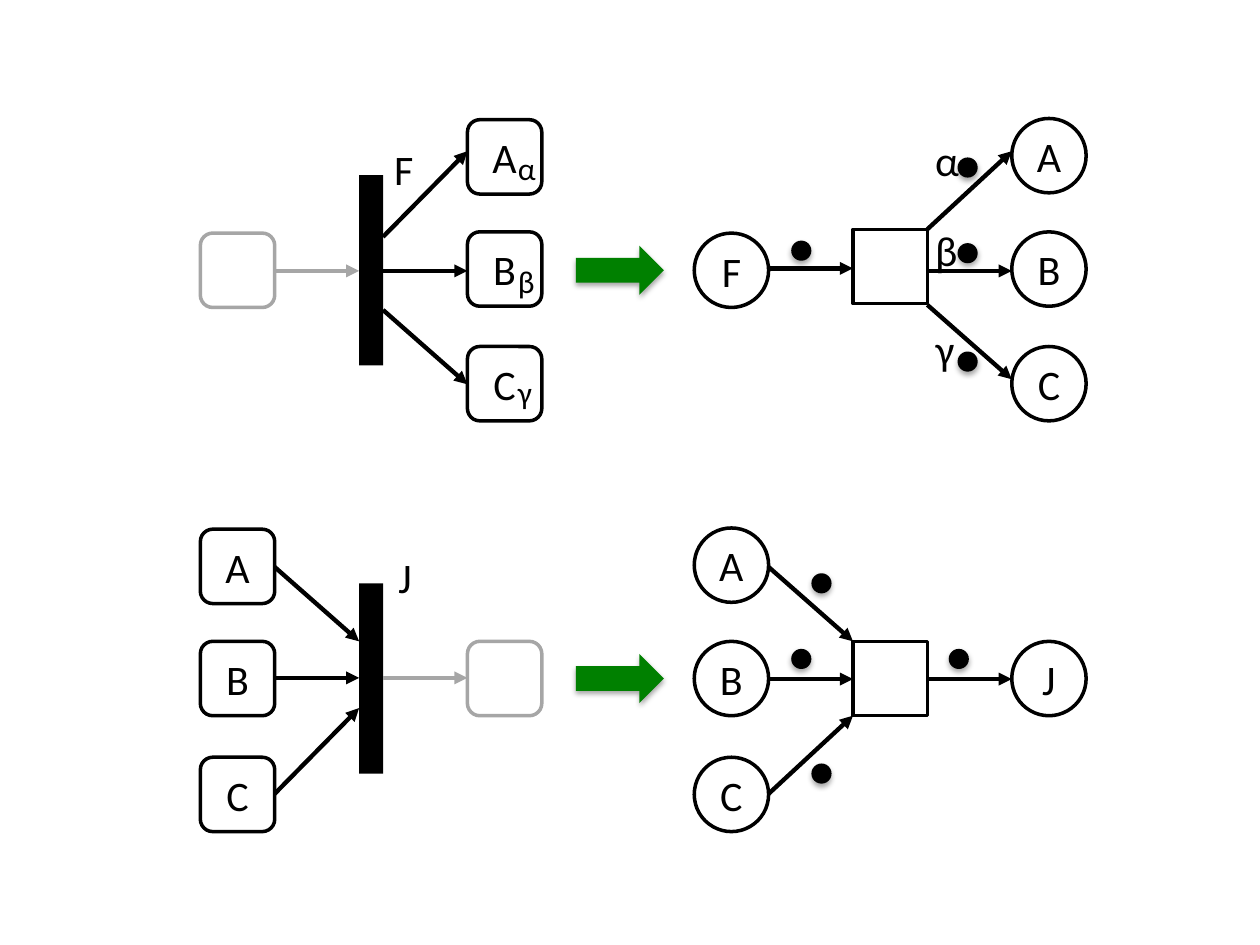
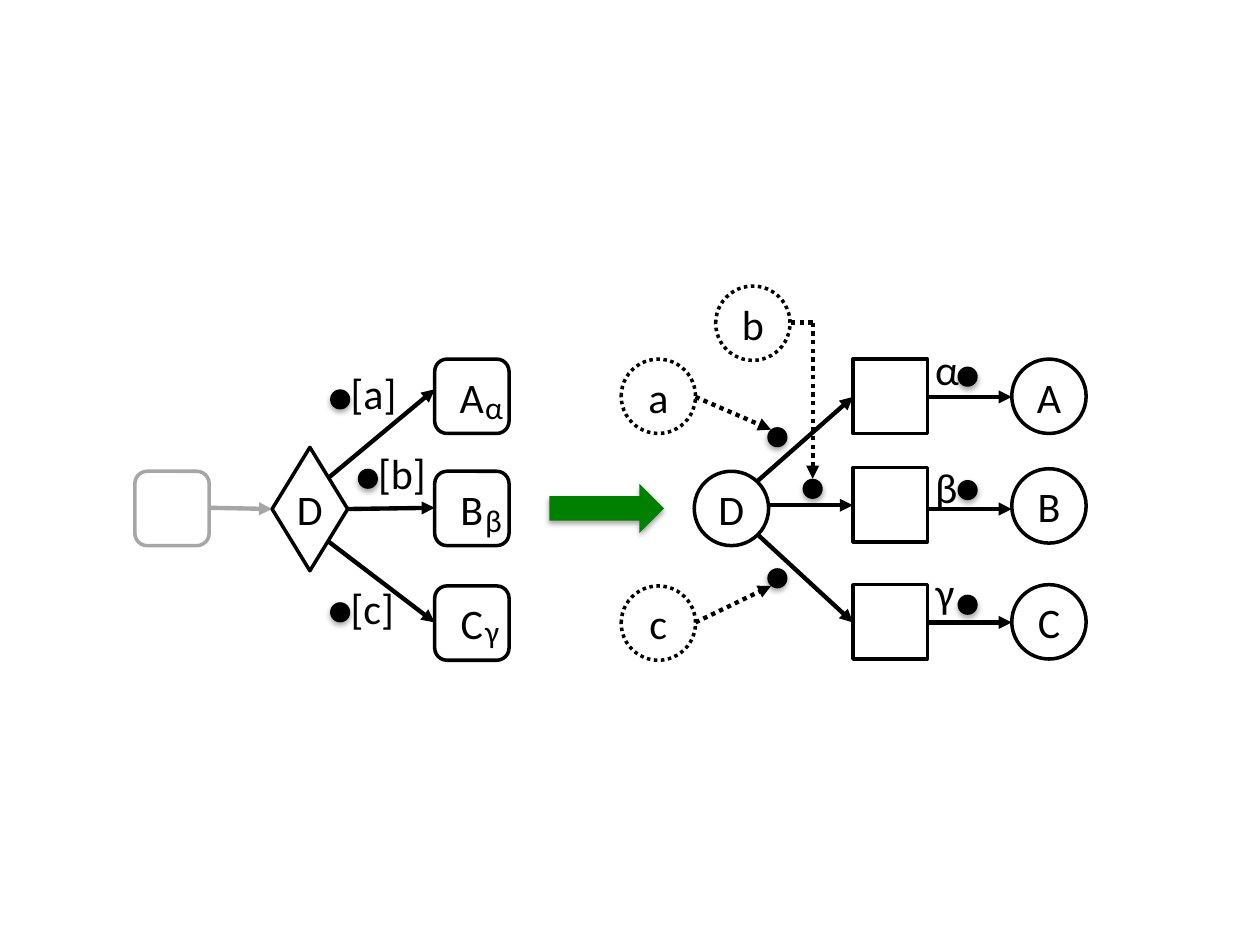
from lxml.etree import SubElement
from pptx import Presentation
from pptx.dml.color import RGBColor
from pptx.enum.dml import MSO_LINE_DASH_STYLE as Dash
from pptx.enum.shapes import MSO_CONNECTOR as Connector, MSO_SHAPE as Shape
from pptx.enum.text import MSO_ANCHOR as Anchor, MSO_AUTO_SIZE as AutoSize, PP_ALIGN as Align
from pptx.oxml.ns import qn
from pptx.util import Inches, Pt

BLACK = RGBColor(0x00, 0x00, 0x00)
WHITE = RGBColor(0xFF, 0xFF, 0xFF)
GREY = RGBColor(0xA6, 0xA6, 0xA6)
GREEN = RGBColor(0x00, 0x80, 0x00)

FONT = "Calibri"
NODE = 0.59
TOKEN = 0.16
SUBSCRIPTS = (("α", 0.14, 0.23), ("β", 0.13, 0.24), ("γ", 0.11, 0.21))
WEIGHTS = (("α", 0.19, 0.18), ("β", 0.18, 0.15), ("γ", 0.16, 0.22))

PLACE_LEFT = 5.51
TRANSITION_LEFT = 6.77
TRANSITION_RIGHT = TRANSITION_LEFT + NODE
RESULT_LEFT = 8.03
PLACE_RIGHT = PLACE_LEFT + NODE


class Diagram:
    def __init__(self, deck):
        self.deck = deck
        self.page = None

    def new_page(self):
        self.page = self.deck.slides.add_slide(self.deck.slide_layouts[6])

    def set_text(self, shape, text, size=24):
        frame = shape.text_frame
        frame.margin_left = frame.margin_right = 0
        frame.margin_top = frame.margin_bottom = 0
        para = frame.paragraphs[0]
        para.text = text
        para.alignment = Align.CENTER
        para.font.name = FONT
        para.font.size = Pt(size)
        para.font.color.rgb = BLACK
        return frame

    def solid(self, kind, left, top, width, height, color, shadow=False, parent=None):
        shapes = (parent or self.page).shapes
        shape = shapes.add_shape(kind, Inches(left), Inches(top), Inches(width), Inches(height))
        shape.shadow.inherit = False
        shape.fill.solid()
        shape.fill.fore_color.rgb = color
        shape.line.fill.background()
        if shadow:
            effects = shape._element.spPr.find(qn("a:effectLst"))
            outer = SubElement(effects, qn("a:outerShdw"), blurRad=str(Pt(3.1)),
                               dist=str(Pt(1.8)), dir="5400000", rotWithShape="0")
            tint = SubElement(outer, qn("a:srgbClr"), val=str(BLACK))
            SubElement(tint, qn("a:alpha"), val="35000")
        return shape

    def node(self, kind, left, top, text="", color=BLACK, dash=None, width=NODE, height=NODE):
        shape = self.solid(kind, left, top, width, height, WHITE)
        shape.line.color.rgb = color
        shape.line.width = Pt(2)
        if dash:
            shape.line.dash_style = dash
        if text:
            self.set_text(shape, text).vertical_anchor = Anchor.MIDDLE

    def column(self, kind, left, tops, letters="ABC"):
        for top, letter in zip(tops, letters):
            self.node(kind, left, top, letter)

    def label(self, text, left, top, width, height=0.4, size=24, parent=None):
        shapes = (parent or self.page).shapes
        box = shapes.add_textbox(Inches(left), Inches(top), Inches(width), Inches(height))
        frame = self.set_text(box, text, size)
        frame.word_wrap = False
        frame.auto_size = AutoSize.SHAPE_TO_FIT_TEXT

    def bar_name(self, text, left, top):
        box = self.page.shapes.add_textbox(Inches(left), Inches(top), Inches(0.29), Inches(0.5))
        frame = self.set_text(box, text)
        frame.margin_top = frame.margin_bottom = Inches(0.05)
        frame.word_wrap = True
        frame.auto_size = AutoSize.SHAPE_TO_FIT_TEXT

    def bar(self, left, top):
        self.solid(Shape.RECTANGLE, left, top, 0.19, 1.51, BLACK)

    def becomes(self, left, top, width):
        self.solid(Shape.RIGHT_ARROW, left, top, width, 0.39, GREEN, shadow=True)

    def token(self, left, top, parent=None):
        self.solid(Shape.OVAL, left, top, TOKEN, TOKEN, BLACK, shadow=True, parent=parent)

    def weighted_tokens(self, left, tops):
        for top, (letter, width, rise) in zip(tops, WEIGHTS):
            group = self.page.shapes.add_group_shape()
            self.token(left, top, group)
            self.label(letter, left - 0.18, top - rise, width, parent=group)

    def subscripts(self, node_left, node_tops):
        for top, (letter, width, drop) in zip(node_tops, SUBSCRIPTS):
            self.label(letter, node_left + 0.4, top + drop, width, 0.3, 18)

    def arrow(self, start, end, color=BLACK, dash=None, head=True):
        points = [Inches(value) for value in (*start, *end)]
        connector = self.page.shapes.add_connector(Connector.STRAIGHT, *points)
        connector.line.color.rgb = color
        connector.line.width = Pt(2.5)
        if dash:
            connector.line.dash_style = dash
        properties = connector._element.spPr
        if head:
            SubElement(properties.find(qn("a:ln")), qn("a:tailEnd"), type="triangle")
        SubElement(properties, qn("a:effectLst"))

    def arrows(self, left, right, heights):
        for start, end in heights:
            self.arrow((left, start), (right, end))


def draw_fork(diagram):
    activity_tops = (0.95, 1.84, 2.75)
    diagram.node(Shape.ROUNDED_RECTANGLE, 1.59, 1.85, color=GREY)
    diagram.arrow((2.18, 2.15), (2.85, 2.15), GREY)
    diagram.bar(2.85, 1.39)
    diagram.bar_name("F", 3.06, 1.09)
    diagram.column(Shape.ROUNDED_RECTANGLE, 3.71, activity_tops)
    diagram.arrows(3.04, 3.71, ((1.88, 1.2), (2.15, 2.15), (2.46, 3.05)))
    diagram.subscripts(3.71, activity_tops)
    diagram.becomes(4.57, 1.95, 0.7)
    diagram.column(Shape.OVAL, RESULT_LEFT, (0.94, 1.84, 2.75))
    diagram.arrows(TRANSITION_RIGHT, RESULT_LEFT, ((1.82, 1.2), (2.15, 2.15), (2.42, 3.01)))
    diagram.node(Shape.RECTANGLE, TRANSITION_LEFT, 1.82)
    diagram.arrow((PLACE_RIGHT, 2.13), (TRANSITION_LEFT, 2.13))
    diagram.node(Shape.OVAL, PLACE_LEFT, 1.85, "F")
    diagram.token(6.28, 1.91)
    diagram.weighted_tokens(7.6, (1.25, 1.93, 2.79))


def draw_join(diagram):
    diagram.column(Shape.ROUNDED_RECTANGLE, 1.59, (4.2, 5.09, 6.01))
    diagram.bar(2.85, 4.63)
    diagram.bar_name("J", 3.07, 4.33)
    diagram.arrows(2.18, 2.85, ((4.5, 5.09), (5.38, 5.38), (6.3, 5.62)))
    diagram.arrow((3.04, 5.38), (3.71, 5.38), GREY)
    diagram.node(Shape.ROUNDED_RECTANGLE, 3.71, 5.09, color=GREY)
    diagram.becomes(4.57, 5.19, 0.7)
    diagram.column(Shape.OVAL, PLACE_LEFT, (4.19, 5.09, 6.01))
    diagram.node(Shape.RECTANGLE, TRANSITION_LEFT, 5.09)
    diagram.arrows(PLACE_RIGHT, TRANSITION_LEFT, ((4.5, 5.09), (5.39, 5.39), (6.3, 5.68)))
    diagram.node(Shape.OVAL, RESULT_LEFT, 5.09, "J")
    diagram.arrow((TRANSITION_RIGHT, 5.39), (RESULT_LEFT, 5.39))
    for left, top in ((6.44, 4.55), (6.28, 5.15), (6.44, 6.06), (7.53, 5.15)):
        diagram.token(left, top)


def draw_decision(diagram):
    activity_tops = (2.85, 3.74, 4.65)
    diagram.node(Shape.ROUNDED_RECTANGLE, 1.07, 3.74, color=GREY)
    diagram.arrow((1.66, 4.03), (2.16, 4.04), GREY)
    diagram.column(Shape.ROUNDED_RECTANGLE, 3.45, activity_tops)
    diagram.arrow((2.76, 4.04), (3.45, 4.03))
    diagram.arrows(2.61, 3.45, ((3.79, 3.09), (4.3, 4.94)))
    diagram.node(Shape.DIAMOND, 2.16, 3.55, "D", width=0.6, height=0.98)
    diagram.subscripts(3.45, activity_tops)
    guards = (("[a]", 2.62, 3.09, 2.92, 0.37),
              ("[b]", 2.84, 3.72, 3.55, 0.38),
              ("[c]", 2.62, 4.78, 4.62, 0.35))
    for text, left, token_top, label_top, width in guards:
        diagram.token(left, token_top)
        diagram.label(text, left + TOKEN, label_top, width)
    diagram.becomes(4.36, 3.84, 0.91)


def draw_choice_net(diagram):
    diagram.column(Shape.OVAL, RESULT_LEFT, (2.85, 3.72, 4.64))
    for top in (2.85, 3.71, 4.64):
        diagram.node(Shape.RECTANGLE, TRANSITION_LEFT, top)
    diagram.arrows(TRANSITION_RIGHT, RESULT_LEFT, ((3.15, 3.15), (4.04, 4.04), (4.94, 4.94)))
    diagram.node(Shape.OVAL, PLACE_LEFT, 3.74, "D")
    diagram.arrow((PLACE_RIGHT, 4.01), (TRANSITION_LEFT, 4.01))
    diagram.arrows(6.01, TRANSITION_LEFT, ((3.82, 3.15), (4.24, 4.94)))
    for letter, left, top in (("a", 4.93, 2.85), ("b", 5.68, 2.27), ("c", 4.93, 4.65)):
        diagram.node(Shape.OVAL, left, top, letter, dash=Dash.ROUND_DOT)
    diagram.arrow((5.52, 3.15), (6.12, 3.41), dash=Dash.ROUND_DOT)
    diagram.arrow((5.52, 4.94), (6.12, 4.65), dash=Dash.ROUND_DOT)
    diagram.arrow((6.45, 2.56), (6.27, 2.56), dash=Dash.ROUND_DOT, head=False)
    diagram.arrow((6.45, 2.56), (6.45, 3.8), dash=Dash.ROUND_DOT)
    for left, top in ((6.09, 3.39), (6.37, 3.8), (6.09, 4.51)):
        diagram.token(left, top)
    diagram.weighted_tokens(7.6, (2.91, 3.81, 4.72))


deck = Presentation()
deck.slide_width = Inches(10)
deck.slide_height = Inches(7.5)
diagram = Diagram(deck)

diagram.new_page()
draw_fork(diagram)
draw_join(diagram)

diagram.new_page()
draw_decision(diagram)
draw_choice_net(diagram)

deck.save("out.pptx")
